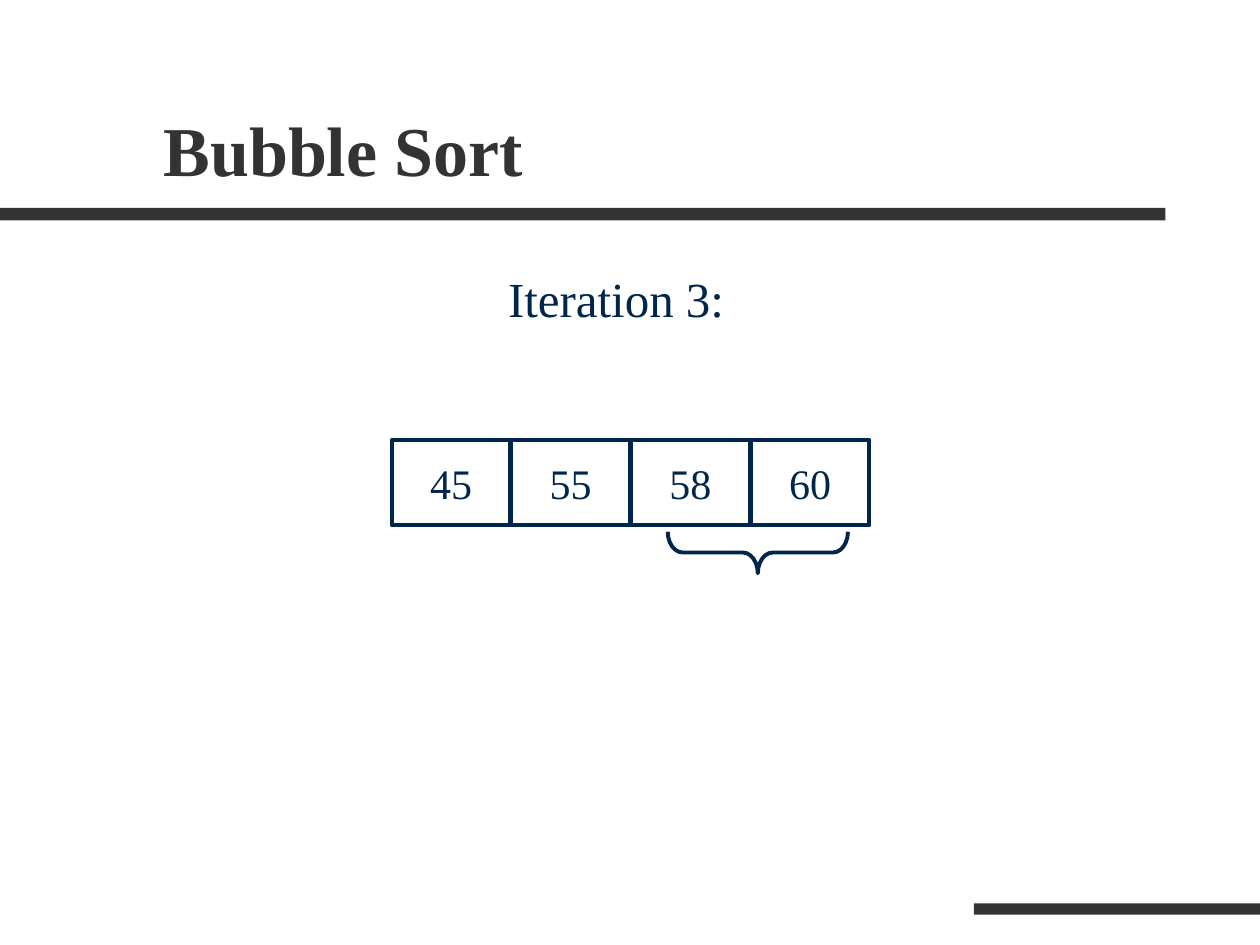
from pptx import Presentation
from pptx.dml.color import RGBColor
from pptx.enum.shapes import MSO_SHAPE
from pptx.enum.text import MSO_ANCHOR, PP_ALIGN
from pptx.util import Inches, Pt

RECTANGLE, BRACE = MSO_SHAPE.RECTANGLE, MSO_SHAPE.LEFT_BRACE
TOP, MIDDLE, BOTTOM = MSO_ANCHOR.TOP, MSO_ANCHOR.MIDDLE, MSO_ANCHOR.BOTTOM
LEFT, CENTER = PP_ALIGN.LEFT, PP_ALIGN.CENTER
CHARCOAL = RGBColor(0x33, 0x33, 0x33)
NAVY = RGBColor(0x00, 0x26, 0x4C)
FONT = "Times New Roman"

# Content
TITLE = "Bubble Sort"
SUBTITLE = "Iteration 3:"
VALUES = ["45", "55", "58", "60"]

# Layout in inches: left, top, width, height
RULES = [(0, 1.65, 9.25, 0.1), (7.73, 7.17, 2.27, 0.09)]
TITLE_BOX = (1.2, 0.31, 8.5, 1.25)
SUBTITLE_BOX = (0.64, 2.08, 8.5, 0.7)
ARRAY_LEFT, ARRAY_TOP, CELL_STEP = 3.11, 3.49, 0.95
CELL_WIDTH, CELL_HEIGHT = 0.94, 0.68
BRACE_BOX = (5.85, 3.67, 0.33, 1.43)

# Text formats
TITLE_FONT = {"name": FONT, "size": Pt(40), "bold": True}
SUBTITLE_FONT = {"name": FONT, "size": Pt(28)}
CELL_FONT = {"name": FONT, "size": Pt(24)}


def add_shape(slide, kind, box, fill=None, line=None):
    shape = slide.shapes.add_shape(kind, *map(Inches, box))
    shape.shadow.inherit = False
    if fill is None:
        shape.fill.background()
    else:
        shape.fill.solid()
        shape.fill.fore_color.rgb = fill
    if line is None:
        shape.line.fill.background()
    else:
        shape.line.color.rgb = line
        shape.line.width = Pt(2.25)
    return shape


def write(shape, text, font, color, anchor, align, wrap=True):
    frame = shape.text_frame
    frame.word_wrap = wrap
    frame.vertical_anchor = anchor
    paragraph = frame.paragraphs[0]
    paragraph.alignment = align
    run = paragraph.add_run()
    run.text = text
    for name, value in font.items():
        setattr(run.font, name, value)
    run.font.color.rgb = color
    return paragraph


def main():
    presentation = Presentation()
    presentation.slide_width, presentation.slide_height = Inches(10), Inches(7.5)
    slide = presentation.slides.add_slide(presentation.slide_layouts[6])

    # Decorative rules
    for box in RULES:
        add_shape(slide, RECTANGLE, box, fill=CHARCOAL)

    # Headings
    title = slide.shapes.add_textbox(*map(Inches, TITLE_BOX))
    write(title, TITLE, TITLE_FONT, CHARCOAL, BOTTOM, LEFT)
    subtitle = slide.shapes.add_textbox(*map(Inches, SUBTITLE_BOX))
    paragraph = write(subtitle, SUBTITLE, SUBTITLE_FONT, NAVY, TOP, CENTER)
    paragraph.space_before = Pt(7)

    # Array cells
    for index, value in enumerate(VALUES):
        box = (ARRAY_LEFT + index * CELL_STEP, ARRAY_TOP, CELL_WIDTH, CELL_HEIGHT)
        cell = add_shape(slide, RECTANGLE, box, line=NAVY)
        write(cell, value, CELL_FONT, NAVY, MIDDLE, CENTER, wrap=False)

    # Brace under the compared pair, pointing down
    brace = add_shape(slide, BRACE, BRACE_BOX, line=NAVY)
    brace.rotation = 270
    brace.adjustments[0] = 0.36

    presentation.save("out.pptx")


if __name__ == "__main__":
    main()
